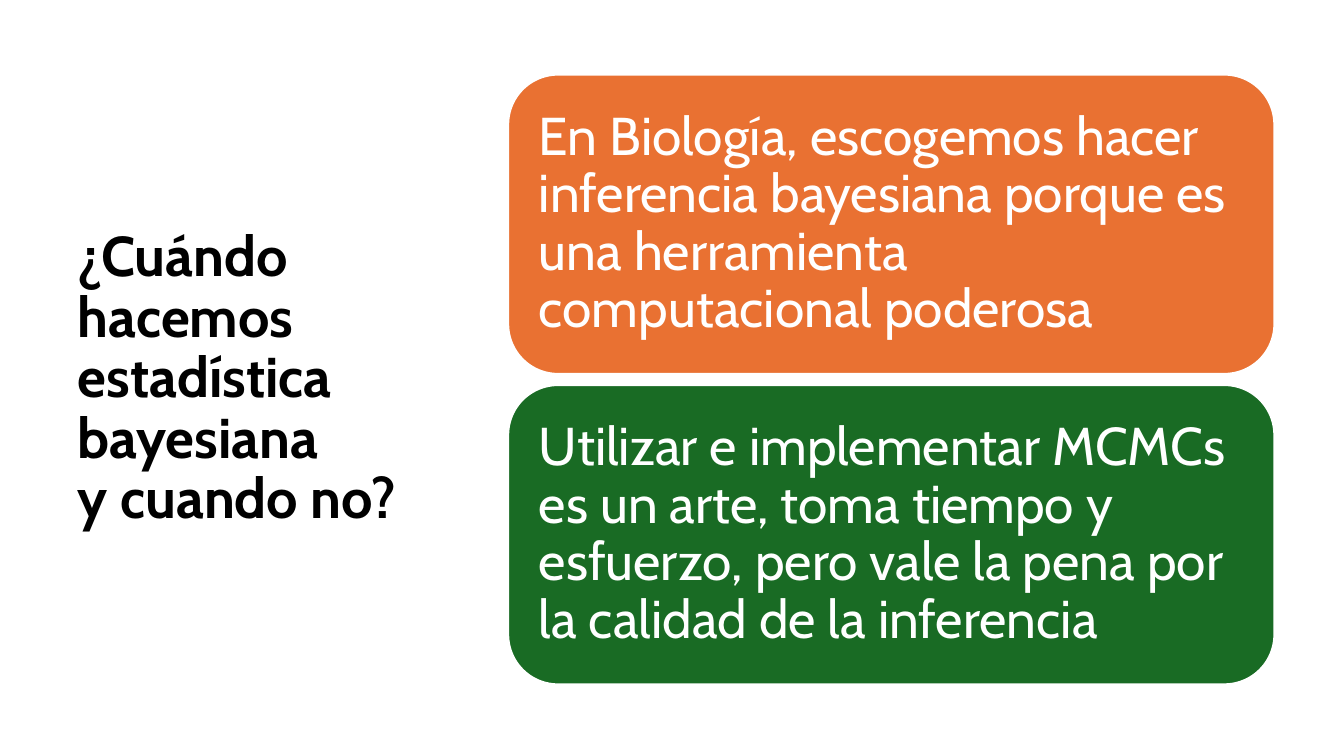
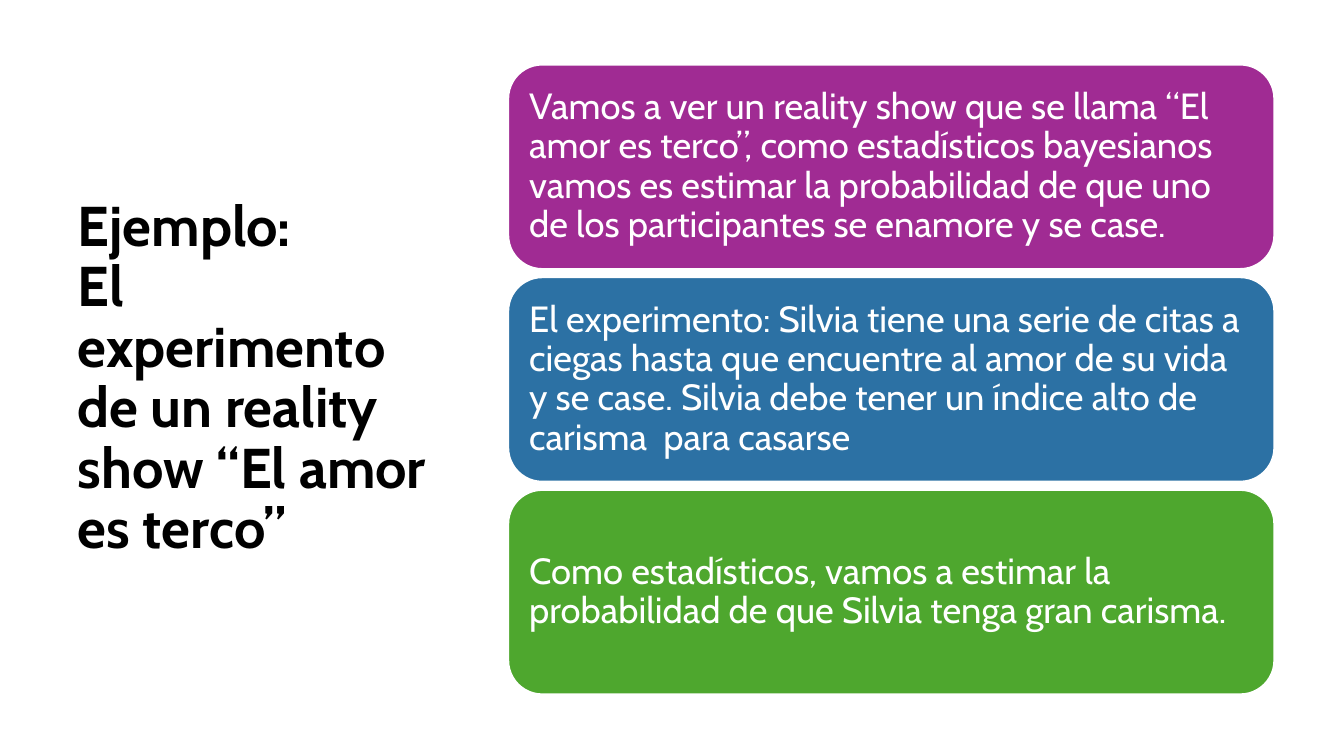
"""Build two slides with a title on the left and stacked cards on the right."""
from pptx import Presentation
from pptx.dml.color import RGBColor
from pptx.enum.shapes import MSO_SHAPE as Preset
from pptx.enum.text import MSO_ANCHOR as Anchor, MSO_AUTO_SIZE as AutoSize, PP_ALIGN as Align
from pptx.util import Inches, Pt

FONT = "Cabin"
BLACK = RGBColor(0x00, 0x00, 0x00)
WHITE = RGBColor(0xFF, 0xFF, 0xFF)
ORANGE = RGBColor(0xE9, 0x71, 0x32)
DARK_GREEN = RGBColor(0x19, 0x6B, 0x24)
PURPLE = RGBColor(0xA0, 0x2B, 0x93)
BLUE = RGBColor(0x2C, 0x71, 0xA4)
GREEN = RGBColor(0x4E, 0xA7, 0x2E)

TITLE_LEFT, TITLE_TOP, TITLE_WIDTH, TITLE_HEIGHT = map(Inches, (0.67, 0.6, 3.82, 6.33))
CARD_LEFT, CARD_WIDTH = Inches(5.04), Inches(7.6)
CENTER = TITLE_TOP + TITLE_HEIGHT // 2

SLIDES = [
    {
        "title": ["¿Cuándo hacemos estadística bayesiana ", "y cuando no?"],
        "size": 38, "height": 2.97, "gap": 0.11, "inset": 0.16,
        "cards": [
            (ORANGE, "En Biología, escogemos hacer inferencia bayesiana porque es "
                     "una herramienta computacional poderosa"),
            (DARK_GREEN, "Utilizar e implementar MCMCs es un arte, toma tiempo y esfuerzo, "
                         "pero vale la pena por la calidad de la inferencia"),
        ],
    },
    {
        "title": ["Ejemplo: ", "El experimento de un reality show “El amor es terco”"],
        "size": 26, "height": 2.03, "gap": 0.08, "inset": 0.11,
        "cards": [
            (PURPLE, "Vamos a ver un reality show que se llama “El amor es terco”, como "
                     "estadísticos bayesianos vamos es estimar la probabilidad de que uno "
                     "de los participantes se enamore y se case."),
            (BLUE, "El experimento: Silvia tiene una serie de citas a ciegas hasta que "
                   "encuentre al amor de su vida y se case. Silvia debe tener un índice "
                   "alto de carisma  para casarse"),
            (GREEN, "Como estadísticos, vamos a estimar la probabilidad de que Silvia "
                    "tenga gran carisma."),
        ],
    },
]


def write_text(shape, lines, size, color, bold=False):
    frame = shape.text_frame
    frame.word_wrap = True
    frame.auto_size = AutoSize.NONE
    frame.vertical_anchor = Anchor.MIDDLE
    paragraph = frame.paragraphs[0]
    paragraph.alignment = Align.LEFT
    paragraph.line_spacing = 0.9
    for index, line in enumerate(lines):
        if index:
            paragraph.add_line_break()
        run = paragraph.add_run()
        run.text = line
        run.font.name = FONT
        run.font.size = Pt(size)
        run.font.bold = bold
        run.font.color.rgb = color


def add_title(slide, lines):
    title = slide.shapes.title
    title.left, title.top = TITLE_LEFT, TITLE_TOP
    title.width, title.height = TITLE_WIDTH, TITLE_HEIGHT
    write_text(title, lines, 40, BLACK, bold=True)


def add_card(slide, top, height, inset, color, text, size):
    card = slide.shapes.add_shape(Preset.ROUNDED_RECTANGLE, CARD_LEFT, top, CARD_WIDTH, height)
    card.shadow.inherit = False
    card.fill.solid()
    card.fill.fore_color.rgb = color
    card.line.color.rgb = WHITE
    card.line.width = Pt(1.5)
    frame = card.text_frame
    frame.margin_left = frame.margin_right = inset
    frame.margin_top = frame.margin_bottom = inset
    write_text(card, [text], size, WHITE)


def add_cards(slide, content):
    height, gap, inset = (Inches(content[key]) for key in ("height", "gap", "inset"))
    count = len(content["cards"])
    first_top = CENTER - (count * height + (count - 1) * gap) // 2
    for index, (color, text) in enumerate(content["cards"]):
        top = first_top + index * (height + gap)
        add_card(slide, top, height, inset, color, text, content["size"])


def main():
    presentation = Presentation()
    presentation.slide_width, presentation.slide_height = Inches(13.33), Inches(7.5)
    title_only = presentation.slide_layouts[5]
    for content in SLIDES:
        slide = presentation.slides.add_slide(title_only)
        add_title(slide, content["title"])
        add_cards(slide, content)
    presentation.save("out.pptx")


if __name__ == "__main__":
    main()
